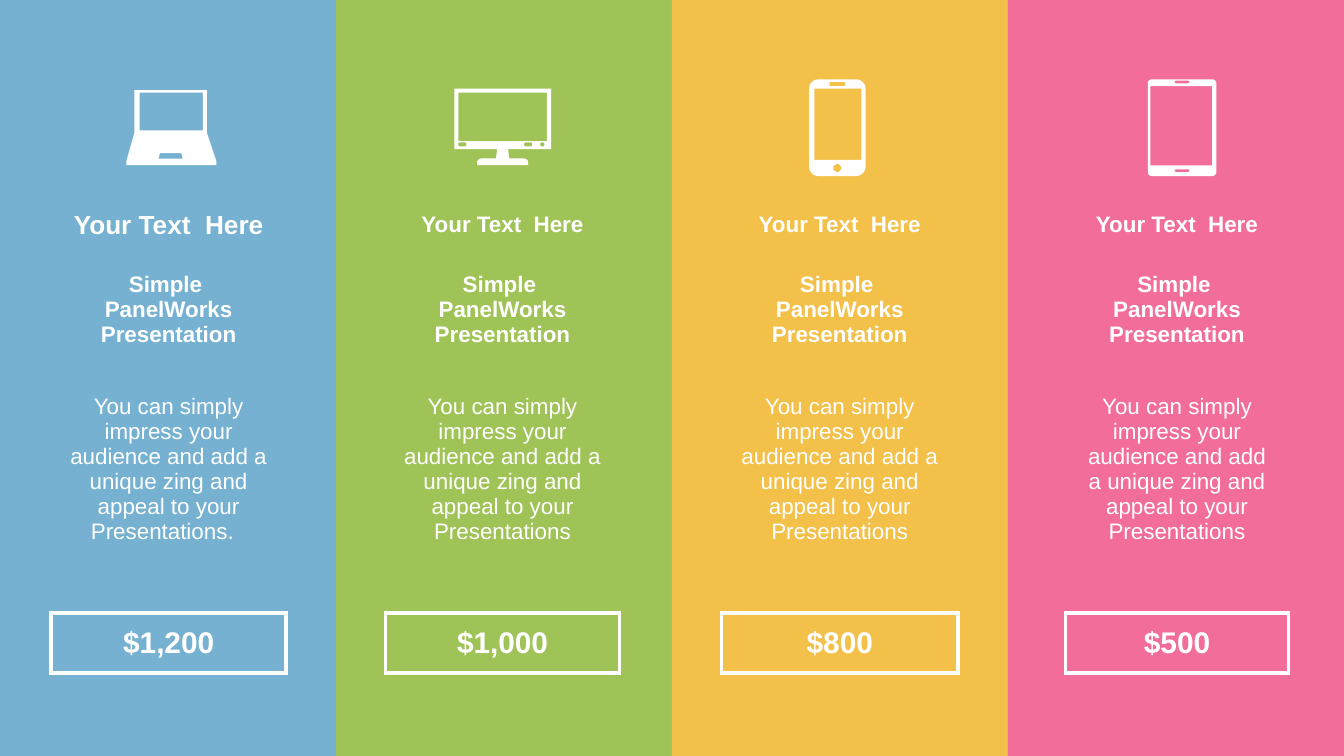
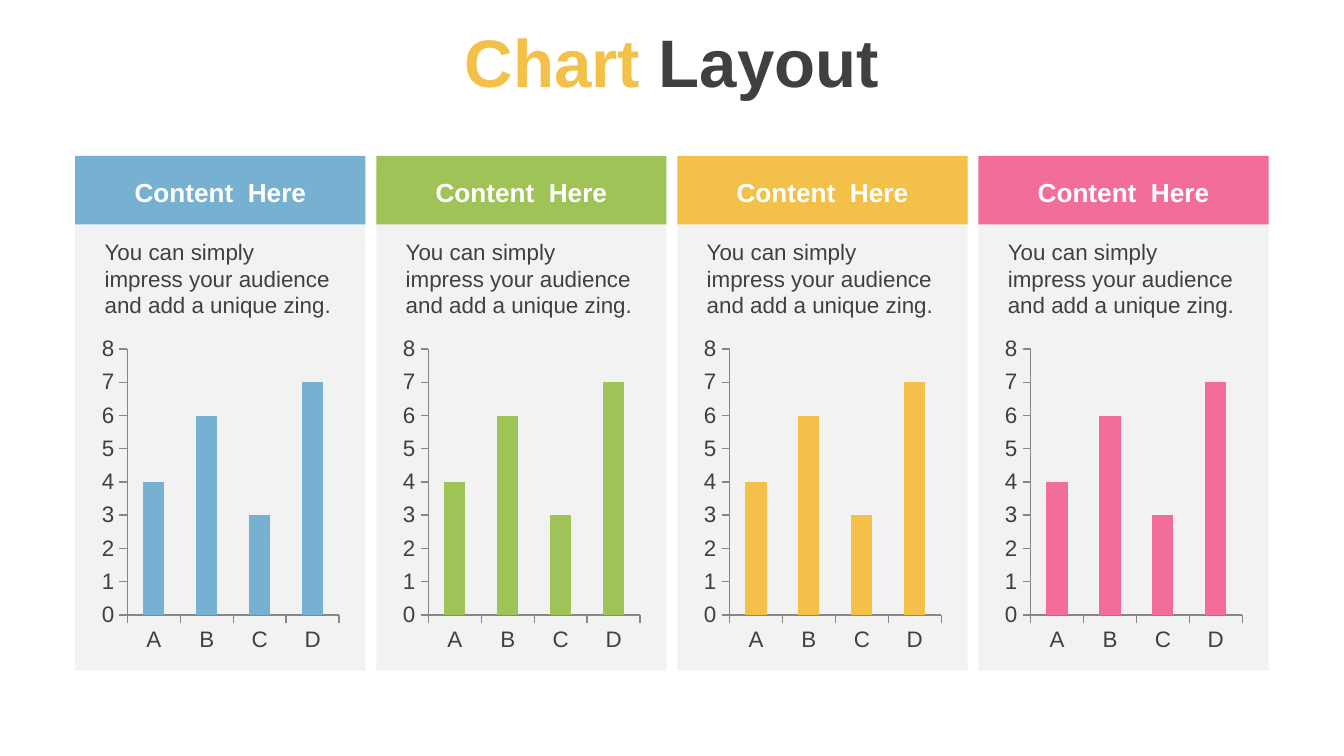
from dataclasses import dataclass
from math import cos, radians, sin

from lxml import etree
from pptx import Presentation
from pptx import util as u
from pptx.chart.data import CategoryChartData
from pptx.dml.color import RGBColor
from pptx.enum import chart as charts, shapes, text
from pptx.oxml import ns

Inches, Pt = u.Inches, u.Pt
Point = tuple[float, float]
Contour = list[Point]

# Shared look
SLIDE_WIDTH = 10
SLIDE_HEIGHT = SLIDE_WIDTH * 9 / 16
FONT = "Arial"
COLOURS = {
    "blue": "76B1D1", "green": "A0C358", "yellow": "F3C04A", "pink": "F26D9A",
    "white": "FFFFFF", "panel": "F2F2F2", "dark": "404040", "axis": "868686",
}
PLAIN_TABLE_STYLE = "{2D5ABB26-0587-4C30-8999-92F81FD0307C}"


@dataclass
class Offer:
    colour: str
    price: str
    columns: tuple[float, float, float]
    icon: list[Contour]
    heading_size: int = 12
    ending: str = ""


def rgb(colour: str) -> RGBColor:
    return RGBColor.from_string(COLOURS[colour])


def style(font, size: float, colour: str, bold: bool = False) -> None:
    font.name, font.size, font.bold = FONT, Pt(size), bold
    font.color.rgb = rgb(colour)


def paint(shape, colour: str) -> None:
    shape.shadow.inherit = False
    shape.fill.solid()
    shape.fill.fore_color.rgb = rgb(colour)
    shape.line.fill.background()


def add_block(slide, left: float, top: float, width: float, height: float,
              colour: str) -> None:
    block = slide.shapes.add_shape(shapes.MSO_SHAPE.RECTANGLE, Inches(left),
                                   Inches(top), Inches(width), Inches(height))
    paint(block, colour)


def add_label(slide, left: float, top: float, width: float, height: float,
              words: str, size: float, colour: str, bold: bool = False,
              align=text.PP_ALIGN.LEFT) -> None:
    frame = slide.shapes.add_textbox(Inches(left), Inches(top), Inches(width),
                                     Inches(height)).text_frame
    frame.word_wrap = True
    frame.auto_size = text.MSO_AUTO_SIZE.SHAPE_TO_FIT_TEXT
    frame.text = words
    paragraph = frame.paragraphs[0]
    paragraph.alignment = align
    style(paragraph.runs[0].font, size, colour, bold)


# Icon outlines, in inches on the slide
def corner(x: float, y: float, radius: float, start: int) -> Contour:
    """Quarter arc around (x, y), clockwise from the start angle."""
    angles = [radians(start + step) for step in range(0, 91, 15)]
    return [(x + radius * cos(a), y + radius * sin(a)) for a in angles]


def rounded(left: float, top: float, right: float, bottom: float,
            radius: float) -> Contour:
    return (corner(left + radius, top + radius, radius, 180)
            + corner(right - radius, top + radius, radius, 270)
            + corner(right - radius, bottom - radius, radius, 0)
            + corner(left + radius, bottom - radius, radius, 90))


def box(left: float, top: float, right: float, bottom: float) -> Contour:
    return [(left, top), (right, top), (right, bottom), (left, bottom)]


LAPTOP = [
    [(1.19, 1.14), (1.18, 1.18), (1.36, 1.18), (1.35, 1.14)],
    box(1.04, 0.69, 1.51, 0.97),
    [(1, 0.67), (1.54, 0.67), (1.54, 0.99), (1.61, 1.2), (1.61, 1.23),
     (0.94, 1.23), (0.94, 1.2), (1, 0.99)],
]
MONITOR = [
    rounded(3.9, 1.06, 3.96, 1.09, 0.01),
    rounded(3.41, 1.06, 3.47, 1.09, 0.01),
    rounded(4.02, 1.06, 4.05, 1.09, 0.01),
    box(3.41, 0.69, 4.07, 1.05),
    [(3.38, 0.66), (4.1, 0.66), (4.1, 1.11), (3.78, 1.11), (3.79, 1.18),
     *corner(3.9, 1.21, 0.03, 270), (3.93, 1.23), (3.55, 1.23),
     *corner(3.58, 1.21, 0.03, 180), (3.69, 1.18), (3.7, 1.11), (3.38, 1.11)],
]
PHONE = [
    rounded(6.2, 1.22, 6.26, 1.28, 0.03),
    box(6.06, 0.66, 6.41, 1.19),
    rounded(6.17, 0.61, 6.29, 0.64, 0.01),
    rounded(6.02, 0.59, 6.44, 1.31, 0.07),
]
TABLET = [
    rounded(8.74, 1.26, 8.85, 1.28, 0.01),
    box(8.56, 0.64, 9.02, 1.23),
    rounded(8.74, 0.6, 8.85, 0.62, 0.01),
    rounded(8.54, 0.59, 9.05, 1.31, 0.03),
]

OFFERS = [
    Offer("blue", "$1,200", (0.38, 1.75, 0.37), LAPTOP, 14, ".  "),
    Offer("green", "$1,000", (0.37, 1.74, 0.39), MONITOR),
    Offer("yellow", "$800", (0.37, 1.76, 0.37), PHONE),
    Offer("pink", "$500", (0.43, 1.66, 0.4), TABLET),
]


def add_icon(slide, contours: list[Contour]) -> None:
    builder = None
    for contour in contours:
        start, *rest = [(Inches(x), Inches(y)) for x, y in contour]
        if builder is None:
            builder = slide.shapes.build_freeform(*start)
        else:
            builder.move_to(*start)
        builder.add_line_segments(rest, close=True)
    paint(builder.convert_to_shape(), "white")


# Price table
ROW_HEIGHTS = [1.19, 0.39, 0.87, 1.5, 0.28, 0.45, 0.28]
PRICE_ROW = 5
BLURB = ("You can simply impress your audience and add a unique zing "
         "and appeal to your Presentations")


def border_sides(row: int, part: int) -> str:
    """Sides of a cell that touch the price frame."""
    if row == PRICE_ROW:
        return ("R", "LRTB", "L")[part]
    if part == 1:
        return {PRICE_ROW - 1: "B", PRICE_ROW + 1: "T"}.get(row, "")
    return ""


def set_borders(cell, drawn: str) -> None:
    properties = cell._tc.get_or_add_tcPr()
    for side in "LRTB":
        line = etree.SubElement(properties, ns.qn(f"a:ln{side}"), w=str(Pt(2.25)))
        if side in drawn:
            fill = etree.SubElement(line, ns.qn("a:solidFill"))
            etree.SubElement(fill, ns.qn("a:srgbClr"), val=COLOURS["white"])
        else:
            etree.SubElement(line, ns.qn("a:noFill"))


def fill_cell(cell, words: str, size: float, bold: bool) -> None:
    cell.vertical_anchor = text.MSO_ANCHOR.MIDDLE
    cell.text = words
    paragraph = cell.text_frame.paragraphs[0]
    paragraph.alignment = text.PP_ALIGN.CENTER
    style(paragraph.runs[0].font, size, "white", bold)


def add_price_table(slide) -> None:
    widths = [width for offer in OFFERS for width in offer.columns]
    frame = slide.shapes.add_table(len(ROW_HEIGHTS), len(widths), Inches(0),
                                   Inches(0.29), Inches(10), Inches(5))
    table = frame.table
    table.first_row = table.horz_banding = False
    table._tbl.tblPr.find(ns.qn("a:tableStyleId")).text = PLAIN_TABLE_STYLE
    for column, width in zip(table.columns, widths):
        column.width = Inches(width)
    for row, height in zip(table.rows, ROW_HEIGHTS):
        row.height = Inches(height)
    frame.height = Inches(5)

    for index in range(len(widths)):
        offer, part = OFFERS[index // 3], index % 3
        content = {
            1: ("Your Text  Here", offer.heading_size, True),
            2: ("Simple  PanelWorks Presentation", 12, True),
            3: (BLURB + offer.ending, 12, False),
            PRICE_ROW: (offer.price, 16, True),
        }
        for row in range(len(ROW_HEIGHTS)):
            cell = table.cell(row, index)
            set_borders(cell, border_sides(row, part))
            cell.fill.background()
            if part == 1 and row in content:
                fill_cell(cell, *content[row])
            else:
                # The text size of empty cells limits how far thin rows grow
                etree.SubElement(cell.text_frame.paragraphs[0]._p,
                                 ns.qn("a:endParaRPr"), sz="1300")


def build_pricing(deck) -> None:
    slide = deck.slides.add_slide(deck.slide_layouts[6])
    band = SLIDE_WIDTH / len(OFFERS)
    for index, offer in enumerate(OFFERS):
        add_block(slide, band * index, 0, band, SLIDE_HEIGHT, offer.colour)
    add_price_table(slide)
    for offer in OFFERS:
        add_icon(slide, offer.icon)


# Chart slide
def add_title(slide, parts: list[tuple[str, str]]) -> None:
    title = slide.shapes.title
    title.left, title.top = Inches(0), Inches(0.03)
    title.width, title.height = Inches(10), Inches(0.85)
    title.text_frame.vertical_anchor = text.MSO_ANCHOR.MIDDLE
    paragraph = title.text_frame.paragraphs[0]
    paragraph.alignment = text.PP_ALIGN.CENTER
    for words, colour in parts:
        run = paragraph.add_run()
        run.text = words
        style(run.font, 36, colour, True)


def add_column_chart(slide, left: float, colour: str) -> None:
    data = CategoryChartData()
    data.categories = ["A", "B", "C", "D"]
    data.add_series("Series 1", [4, 6, 3, 7])
    chart = slide.shapes.add_chart(
        charts.XL_CHART_TYPE.COLUMN_STACKED, Inches(left), Inches(2.46),
        Inches(1.84), Inches(2.44), data).chart
    chart.has_legend = chart.has_title = False
    style(chart.font, 18, "dark")

    plot = chart.plots[0]
    plot.vary_by_categories = False
    plot.gap_width, plot.overlap = 150, 100
    bars = plot.series[0].format.fill
    bars.solid()
    bars.fore_color.rgb = rgb(colour)

    for axis in (chart.category_axis, chart.value_axis):
        axis.has_major_gridlines = False
        axis.major_tick_mark = charts.XL_TICK_MARK.OUTSIDE
        axis.minor_tick_mark = charts.XL_TICK_MARK.NONE
        axis.format.line.color.rgb = rgb("axis")
        style(axis.tick_labels.font, 12, "dark")
    values = chart.value_axis
    values.minimum_scale, values.maximum_scale, values.major_unit = 0, 8, 1


def build_charts(deck) -> None:
    slide = deck.slides.add_slide(deck.slide_layouts[5])
    add_title(slide, [("Chart ", "yellow"), ("Layout", "dark")])
    for index, offer in enumerate(OFFERS):
        left = 0.56 + 2.24 * index
        add_block(slide, left, 1.27, 2.16, 3.72, "panel")
        add_block(slide, left, 1.16, 2.16, 0.51, offer.colour)
        add_label(slide, left + 0.12, 1.72, 1.91, 0.71,
                  "You can simply impress your audience and add a unique zing.",
                  12, "dark")
        add_label(slide, left + 0.11, 1.26, 1.94, 0.34, "Content  Here", 14,
                  "white", True, text.PP_ALIGN.CENTER)
        add_column_chart(slide, left + 0.16, offer.colour)


def main() -> None:
    deck = Presentation()
    deck.slide_width, deck.slide_height = Inches(SLIDE_WIDTH), Inches(SLIDE_HEIGHT)
    build_pricing(deck)
    build_charts(deck)
    deck.save("out.pptx")


if __name__ == "__main__":
    main()
